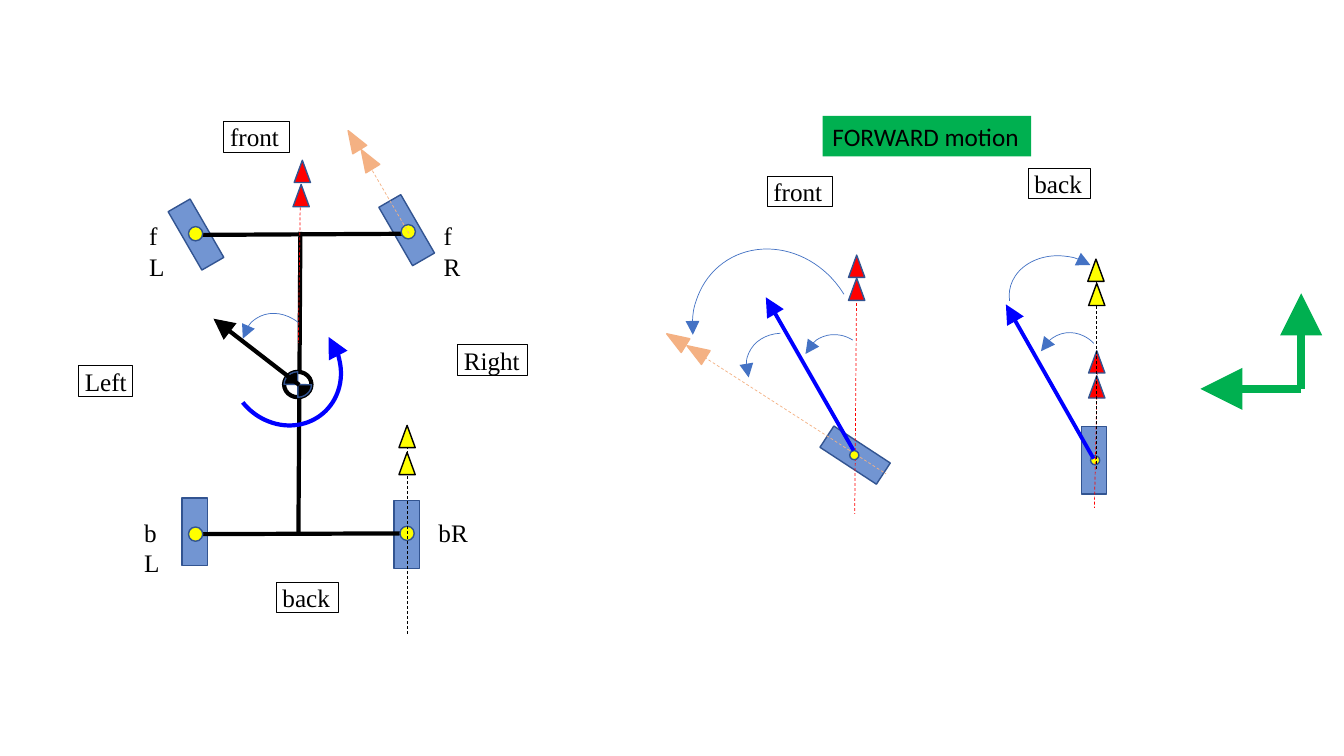
from lxml import etree
from pptx import Presentation
from pptx.dml.color import RGBColor
from pptx.enum import dml, shapes, text
from pptx.oxml.ns import qn
from pptx.util import Cm, Pt

# Theme
THEME = {
    "red": "FF0000", "peach": "F4B183", "yellow": "FFFF00", "blue": "0000FF",
    "steel": "4472C4", "navy": "325491", "green": "00B050",
    "black": "000000", "white": "FFFFFF",
    "serif": "Times New Roman", "sans": "Calibri", "size": 18,
    "hair": 0.5, "outline": 1, "thrust": 2.75, "bar": 3, "axis": 6,
}
MARKER_EDGE = {"red": "navy", "peach": "peach", "yellow": "black"}
WHEEL, MARKER = (0.64, 1.7), (0.41, 0.56)
HUB, SMALL_HUB = 0.36, 0.23
SWING = (1.78, 2.11)
LINE_HEIGHT = 0.76

# Content in centimetres, back to front
FRONT_WHEEL = [
    ("arc", "steel", "hair", (17.53, 6.2, 4.01, 4.45), 323.8, (129.51, 3.61), "head"),
    ("wheel", (21.55, 11.47), 303.2),
    ("dash", "red", (21.59, 6.88), (21.54, 12.95)),
    ("markers", "red", 0, [(21.59, 6.71), (21.59, 7.29)]),
    ("dash", "peach", (17.22, 8.66), (22.33, 11.94)),
    ("markers", "peach", 302.2, [(17.04, 8.56), (17.55, 8.86)]),
    ("hub", (21.53, 11.47), SMALL_HUB),
    ("arrow", "blue", "thrust", (21.51, 11.35), (19.3, 7.49)),
    ("arc", "steel", "hair", (18.95, 8.26, *SWING), 293.4, (141.09, 195.53), "head"),
    ("arc", "steel", "hair", (20.24, 8.41, *SWING), 338.1, (141.09, 188.35), "head"),
    ("label", " front", (19.33, 4.45), 1.65),
]
BACK_WHEEL = [
    ("wheel", (27.57, 11.6), 0),
    ("hub", (27.6, 11.6), SMALL_HUB),
    ("dash", "red", (27.66, 8.99), (27.58, 12.8)),
    ("markers", "red", 0, [(27.64, 9.75), (27.64, 9.12)]),
    ("arrow", "blue", "thrust", (27.56, 11.56), (25.35, 7.67)),
    ("arc", "steel", "hair", (26.11, 8.38, *SWING), 352.1, (135.08, 188.35), "head"),
    ("arc", "steel", "hair", (25.43, 6.45, 2.59, 2.11), 7.6, (101.3, 182.91), "tail"),
    ("label", " back", (25.91, 4.24), 1.57),
    ("dash", "black", (27.64, 6.71), (27.64, 11.81)),
    ("markers", "yellow", 0, [(27.62, 6.81), (27.64, 7.42)]),
]
CAR = [
    ("wheel", (4.94, 5.91), 330),
    ("wheel", (10.25, 13.47), 0),
    ("wheel", (4.91, 13.4), 0),
    ("wheel", (10.25, 5.8), 330),
    ("bar", (7.57, 5.84), (7.52, 13.49)),
    ("bar", (10.26, 13.44), (4.88, 13.46)),
    ("bar", (10.29, 5.89), (4.9, 5.92)),
    ("mass", (7.16, 9.37, 0.69, 0.64)),
    ("label", " front", (5.64, 3.07), 1.65),
    ("arrow", "black", "bar", (7.54, 9.7), (5.38, 8.03)),
    ("arc", "steel", "hair", (6.15, 7.85, *SWING), 326.8, (141.09, 201), "head"),
    ("label", " back", (6.96, 14.68), 1.57),
    ("label", " Right", (11.53, 8.69), 1.75),
    ("label", " Left", (1.98, 9.22), 1.35),
    ("tag", "fR", (11.18, 5.56), 0.58),
    ("tag", "fL", (3.76, 5.56), 0.53),
    ("tag", "bL", (3.63, 13.03), 0.69),
    ("tag", "bR", (11.05, 13.03), 0.76),
    ("hub", (4.93, 13.46), HUB),
    ("hub", (10.26, 13.44), HUB),
    ("hub", (4.93, 5.89), HUB),
    ("hub", (10.29, 5.84), HUB),
    ("arc", "blue", "bar", (5.82, 7.82, 2.72, 2.95), 139.1, (110.77, 1.45), "head"),
    ("dash", "red", (7.57, 4.85), (7.52, 8.64)),
    ("markers", "red", 0, [(7.62, 4.32), (7.59, 4.93)]),
    ("dash", "peach", (9.32, 4.19), (10.31, 5.89)),
    ("markers", "peach", 328.6, [(9.25, 4.01), (8.92, 3.53)]),
    ("dash", "black", (10.26, 10.87), (10.26, 15.98)),
    ("markers", "yellow", 0, [(10.26, 11), (10.26, 11.68)]),
]
AXES_AND_TITLE = [
    ("arrow", "green", "axis", (32.79, 9.8), (32.79, 7.39)),
    ("arrow", "green", "axis", (32.79, 9.8), (30.25, 9.8)),
    ("title", "FORWARD motion", (20.73, 2.92, 5.26, 1.02)),
]

deck = Presentation()
deck.slide_width, deck.slide_height = Cm(33.87), Cm(19.05)
page = deck.slides.add_slide(deck.slide_layouts[6])
KIND = shapes.MSO_SHAPE


# Basic pieces
def color(name):
    return RGBColor.from_string(THEME[name])


def add_arrowhead(line, end):
    line.get_or_add_ln().append(
        etree.Element(qn(f"a:{end}End"), type="triangle", w="lg", len="lg"))


def add_shape(kind, frame, fill=None, edge=None, width="outline", angle=0):
    shape = page.shapes.add_shape(kind, *map(Cm, frame))
    shape.shadow.inherit = False
    shape.rotation = angle
    if fill:
        shape.fill.solid()
        shape.fill.fore_color.rgb = color(fill)
    else:
        shape.fill.background()
    if edge:
        shape.line.color.rgb = color(edge)
        shape.line.width = Pt(THEME[width])
    else:
        shape.line.fill.background()
    return shape


def add_centred(kind, centre, size, fill, edge, angle=0):
    frame = (centre[0] - size[0] / 2, centre[1] - size[1] / 2, *size)
    return add_shape(kind, frame, fill, edge, angle=angle)


def add_line(tint, width, start, end):
    line = page.shapes.add_connector(
        shapes.MSO_CONNECTOR.STRAIGHT, *map(Cm, (*start, *end)))
    line.line.color.rgb = color(tint)
    line.line.width = Pt(THEME[width])
    etree.SubElement(line.element.spPr, qn("a:effectLst"))
    return line


def write(box, words, font, wrap):
    frame = box.text_frame
    frame.text = words
    frame.word_wrap = wrap
    para = frame.paragraphs[0]
    para.alignment = text.PP_ALIGN.LEFT
    span = para.runs[0]
    span.font.name, span.font.size = THEME[font], Pt(THEME["size"])
    span.font.color.rgb = color("black")
    return frame


# Parts of the drawing
def draw_wheel(centre, angle):
    wheel = add_centred(KIND.RECTANGLE, centre, WHEEL, "steel", "navy", angle)
    tint = wheel.element.spPr.find(qn("a:solidFill"))[0]
    etree.SubElement(tint, qn("a:alpha"), val="75000")


def draw_hub(centre, size):
    add_centred(KIND.OVAL, centre, (size, size), "yellow", "navy")


def draw_markers(tint, angle, centres):
    for centre in centres:
        add_centred(KIND.ISOSCELES_TRIANGLE, centre, MARKER, tint,
                    MARKER_EDGE[tint], angle)


def draw_dash(tint, start, end):
    add_line(tint, "hair", start, end).line.dash_style = dml.MSO_LINE.DASH


def draw_bar(start, end):
    add_line("black", "bar", start, end)


def draw_arrow(tint, width, start, tip):
    add_arrowhead(add_line(tint, width, start, tip), "tail")


def draw_arc(tint, width, frame, angle, sweep, end):
    arc = add_shape(KIND.ARC, frame, None, tint, width, angle)
    arc.adjustments[0], arc.adjustments[1] = sweep
    add_arrowhead(arc, end)


def draw_mass(frame):
    add_shape(KIND.OVAL, frame, "white", "black", "bar")
    for angle in (0, 180):
        quarter = add_shape(KIND.PIE, frame, "black", "navy", angle=angle)
        quarter.adjustments[0], quarter.adjustments[1] = 108.53, 162


def draw_tag(words, corner, width, edge=None):
    box = add_shape(KIND.RECTANGLE, (*corner, width, LINE_HEIGHT), None, edge, "hair")
    frame = write(box, words, "serif", True)
    frame.margin_left = frame.margin_right = frame.margin_top = frame.margin_bottom = 0
    frame.vertical_anchor = text.MSO_ANCHOR.TOP


def draw_label(words, corner, width):
    draw_tag(words, corner, width, "black")


def draw_title(words, frame):
    write(add_shape(KIND.RECTANGLE, frame, "green"), words, "sans", False)


DRAW = {
    "wheel": draw_wheel, "hub": draw_hub, "markers": draw_markers,
    "dash": draw_dash, "bar": draw_bar, "arrow": draw_arrow, "arc": draw_arc,
    "mass": draw_mass, "tag": draw_tag, "label": draw_label, "title": draw_title,
}
for kind, *details in FRONT_WHEEL + BACK_WHEEL + CAR + AXES_AND_TITLE:
    DRAW[kind](*details)

deck.save("out.pptx")
